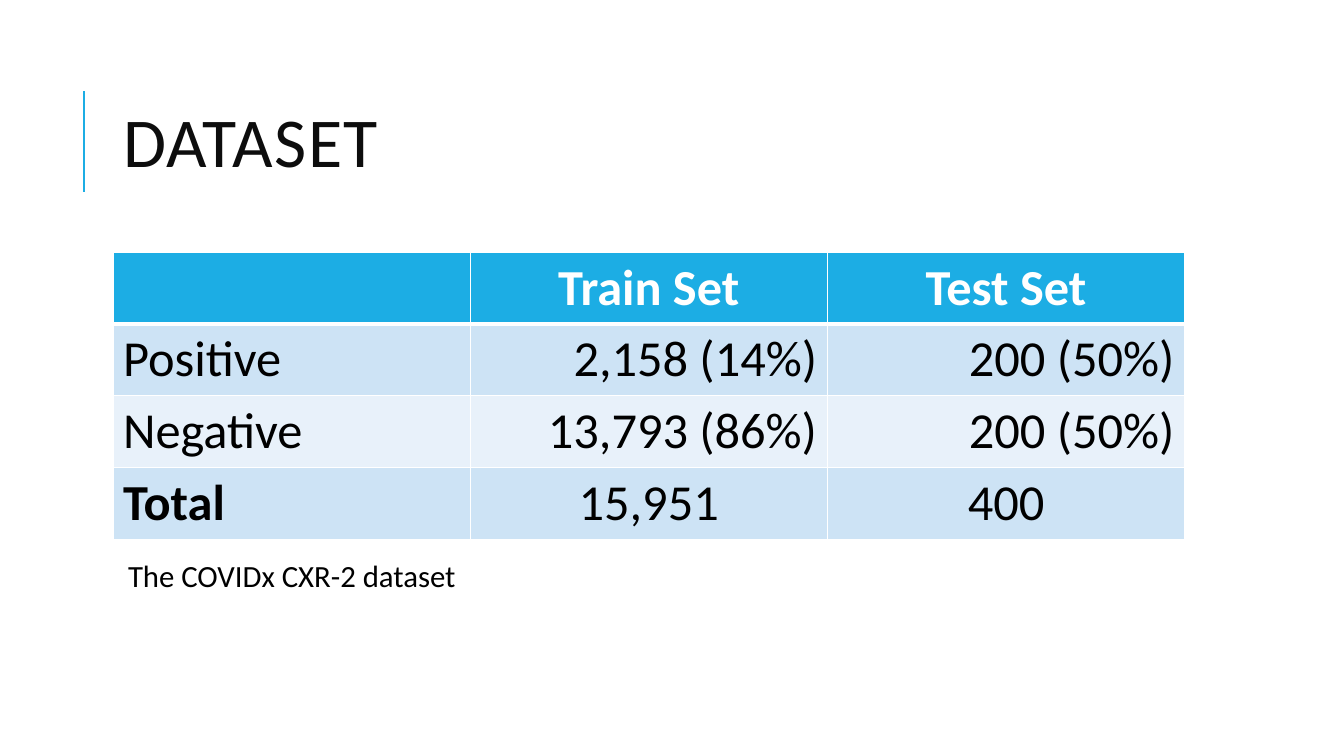
import dataclasses

import pptx
import pptx.dml.color
import pptx.enum.shapes
import pptx.enum.text
import pptx.oxml.ns
import pptx.util
from lxml import etree
from pptx.util import Inches

ALIGN = pptx.enum.text.PP_ALIGN
ANCHOR = pptx.enum.text.MSO_ANCHOR


@dataclasses.dataclass(frozen=True)
class Theme:
    font: str = "Calibri"
    accent: str = "1CADE4"
    title: str = "0D0D0D"
    text: str = "000000"
    white: str = "FFFFFF"
    band_dark: str = "CDE3F5"
    band_light: str = "E8F1FA"
    title_size: int = 50
    table_size: int = 36
    caption_size: int = 22


THEME = Theme()

DATASET_ROWS = [
    ["", "Train Set", "Test Set"],
    ["Positive", "2,158 (14%)", "200 (50%)"],
    ["Negative", "13,793 (86%)", "200 (50%)"],
    ["Total", "15,951", "400"],
]


def rgb(value):
    return pptx.dml.color.RGBColor.from_string(value)


def format_paragraph(paragraph, size, color, bold=False, align=ALIGN.LEFT):
    paragraph.alignment = align
    for run in paragraph.runs:
        run.font.name = THEME.font
        run.font.size = pptx.util.Pt(size)
        run.font.bold = bold
        run.font.color.rgb = rgb(color)


def add_title(slide, text):
    title = slide.shapes.title
    title.left, title.top = Inches(1.12), Inches(0.64)
    title.width, title.height = Inches(10.63), Inches(1.64)
    frame = title.text_frame
    frame.text = text
    frame.vertical_anchor = ANCHOR.MIDDLE
    heading = frame.paragraphs[0]
    heading.line_spacing = 0.8
    format_paragraph(heading, THEME.title_size, THEME.title)
    heading.runs[0].font._element.set("spc", "100")


def add_title_rule(slide):
    rule = slide.shapes.add_connector(
        pptx.enum.shapes.MSO_CONNECTOR.STRAIGHT,
        Inches(0.83), Inches(1.9), Inches(0.83), Inches(0.9))
    rule.line.color.rgb = rgb(THEME.accent)
    rule.line.width = pptx.util.Pt(1.5)
    etree.SubElement(rule._element.spPr, pptx.oxml.ns.qn("a:effectLst"))


def set_borders(cell, widths):
    qn = pptx.oxml.ns.qn
    properties = cell._tc.get_or_add_tcPr()
    for side, width in widths.items():
        border = etree.SubElement(properties, qn(f"a:ln{side}"),
                                  w=str(pptx.util.Pt(width)))
        fill = etree.SubElement(border, qn("a:solidFill"))
        etree.SubElement(fill, qn("a:srgbClr"), val=THEME.white)


def add_dataset_table(slide, rows):
    row_height = Inches(0.71)
    total_row = len(rows) - 1
    table = slide.shapes.add_table(
        len(rows), len(rows[0]), Inches(1.12), Inches(2.5),
        Inches(10.63), row_height * len(rows)).table
    for row_index, row in enumerate(rows):
        is_header = row_index == 0
        band = THEME.band_dark if row_index % 2 else THEME.band_light
        for column_index, text in enumerate(row):
            is_label = column_index == 0
            if is_label:
                align = ALIGN.LEFT
            elif row_index in (0, total_row):
                align = ALIGN.CENTER
            else:
                align = ALIGN.RIGHT
            cell = table.cell(row_index, column_index)
            cell.text = text
            format_paragraph(
                cell.text_frame.paragraphs[0], THEME.table_size,
                THEME.white if is_header else THEME.text,
                is_header or (is_label and row_index == total_row), align)
            set_borders(cell, {"L": 1, "R": 1,
                               "T": 3 if row_index == 1 else 1,
                               "B": 3 if is_header else 1})
            cell.fill.solid()
            cell.fill.fore_color.rgb = rgb(THEME.accent if is_header else band)


def add_caption(slide, text):
    caption = slide.shapes.add_textbox(
        Inches(1.12), Inches(5.52), Inches(10.63), Inches(1.64))
    frame = caption.text_frame
    frame.word_wrap = True
    frame.margin_left = Inches(0.15)
    frame.margin_top = frame.margin_right = frame.margin_bottom = Inches(0.05)
    frame.text = text
    frame.paragraphs[0].line_spacing = 0.9
    format_paragraph(frame.paragraphs[0], THEME.caption_size, THEME.text)


def main():
    presentation = pptx.Presentation()
    presentation.slide_width = Inches(13.33)
    presentation.slide_height = Inches(7.5)
    title_only = presentation.slide_layouts.get_by_name("Title Only")
    slide = presentation.slides.add_slide(title_only)
    add_title_rule(slide)
    add_title(slide, "DATASET")
    add_dataset_table(slide, DATASET_ROWS)
    add_caption(slide, "The COVIDx CXR-2 dataset")
    presentation.save("out.pptx")


if __name__ == "__main__":
    main()
